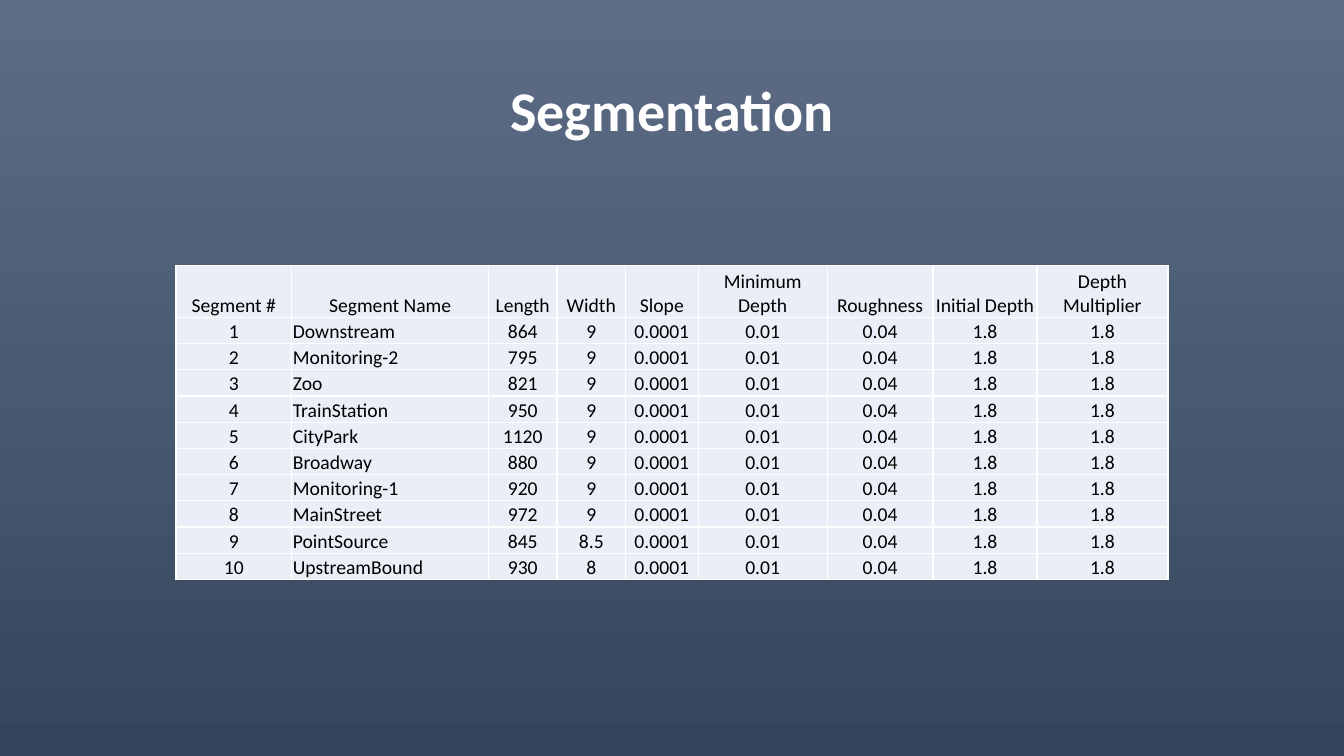
from copy import deepcopy

from lxml import etree
from pptx import Presentation
from pptx.dml.color import RGBColor
from pptx.enum.text import MSO_ANCHOR, PP_ALIGN
from pptx.oxml.ns import qn
from pptx.util import Inches, Pt

LEFT, CENTER = PP_ALIGN.LEFT, PP_ALIGN.CENTER
MIDDLE, BOTTOM = MSO_ANCHOR.MIDDLE, MSO_ANCHOR.BOTTOM

# Content
TITLE = "Segmentation"
HEADERS = ["Segment #", "Segment Name", "Length", "Width", "Slope",
           "Minimum Depth", "Roughness", "Initial Depth", "Depth Multiplier"]
SEGMENTS = [  # name, length, width
    ("Downstream", "864", "9"),
    ("Monitoring-2", "795", "9"),
    ("Zoo", "821", "9"),
    ("TrainStation", "950", "9"),
    ("CityPark", "1120", "9"),
    ("Broadway", "880", "9"),
    ("Monitoring-1", "920", "9"),
    ("MainStreet", "972", "9"),
    ("PointSource", "845", "8.5"),
    ("UpstreamBound", "930", "8"),
]
# Slope, minimum depth, roughness, initial depth and multiplier of every segment
SHARED_VALUES = ("0.0001", "0.01", "0.04", "1.8", "1.8")

# Style and grid, in inches
FONT = "Calibri"
COLORS = {"title": "FFFFFF", "text": "000000", "cell": "EAEFF7", "border": "FFFFFF"}
BACKGROUND = [(0, "5E6D85"), (0.5, "495A73"), (1, "35445A")]
PAGE_WIDTH, PAGE_HEIGHT = 13.33, 7.5
TITLE_WIDTH, TITLE_TOP, TITLE_HEIGHT = 11.5, 0.4, 1.45
TABLE_TOP, ROW_HEIGHT = 2.63, 0.26
COLUMN_WIDTHS = [1.15, 1.95, 0.68, 0.68, 0.72, 1.28, 1.05, 1.03, 1.3]
NAME_COLUMN = 1


def write(frame, text, size, color, align=CENTER, bold=False, spacing=None):
    para = frame.paragraphs[0]
    para.alignment = align
    para.line_spacing = spacing
    span = para.add_run()
    span.text = text
    span.font.name = FONT
    span.font.size = Pt(size)
    span.font.bold = bold
    span.font.color.rgb = RGBColor.from_string(color)


def add_borders(cell, color, width):
    properties = cell._tc.get_or_add_tcPr()
    for side in ("a:lnL", "a:lnR", "a:lnT", "a:lnB"):
        line = etree.SubElement(properties, qn(side), w=str(Pt(width)))
        fill = etree.SubElement(line, qn("a:solidFill"))
        etree.SubElement(fill, qn("a:srgbClr"), val=color)


deck = Presentation()
deck.slide_width, deck.slide_height = Inches(PAGE_WIDTH), Inches(PAGE_HEIGHT)
page = deck.slides.add_slide(deck.slide_layouts[5])

# Background gradient, top to bottom
backdrop = page.background.fill
backdrop.gradient()
backdrop.gradient_angle = 270
stop_list = page.element.find(".//" + qn("a:gsLst"))
stop_list.append(deepcopy(stop_list[-1]))
for stop, (position, color) in zip(backdrop.gradient_stops, BACKGROUND):
    stop.position = position
    stop.color.rgb = RGBColor.from_string(color)

# Title
title = page.shapes.title
title.left, title.top = Inches((PAGE_WIDTH - TITLE_WIDTH) / 2), Inches(TITLE_TOP)
title.width, title.height = Inches(TITLE_WIDTH), Inches(TITLE_HEIGHT)
title.text_frame.vertical_anchor = MIDDLE
write(title.text_frame, TITLE, 40, COLORS["title"], bold=True, spacing=0.9)

# Segment table, centred on the page
rows = [HEADERS] + [(str(number), *segment, *SHARED_VALUES)
                    for number, segment in enumerate(SEGMENTS, 1)]
table_width = sum(COLUMN_WIDTHS)
table = page.shapes.add_table(
    len(rows), len(HEADERS),
    Inches((PAGE_WIDTH - table_width) / 2), Inches(TABLE_TOP),
    Inches(table_width), Inches(ROW_HEIGHT * (len(rows) + 1))).table
for column, width in zip(table.columns, COLUMN_WIDTHS):
    column.width = Inches(width)
for row_index, values in enumerate(rows):
    table.rows[row_index].height = Inches(ROW_HEIGHT * (1 if row_index else 2))
    for column_index, value in enumerate(values):
        cell = table.cell(row_index, column_index)
        cell.margin_left = cell.margin_right = cell.margin_top = Inches(0.01)
        cell.margin_bottom = 0
        cell.vertical_anchor = BOTTOM
        add_borders(cell, COLORS["border"], 1)
        cell.fill.solid()
        cell.fill.fore_color.rgb = RGBColor.from_string(COLORS["cell"])
        is_name = row_index > 0 and column_index == NAME_COLUMN
        write(cell.text_frame, value, 14, COLORS["text"],
              align=LEFT if is_name else CENTER)

deck.save("out.pptx")
